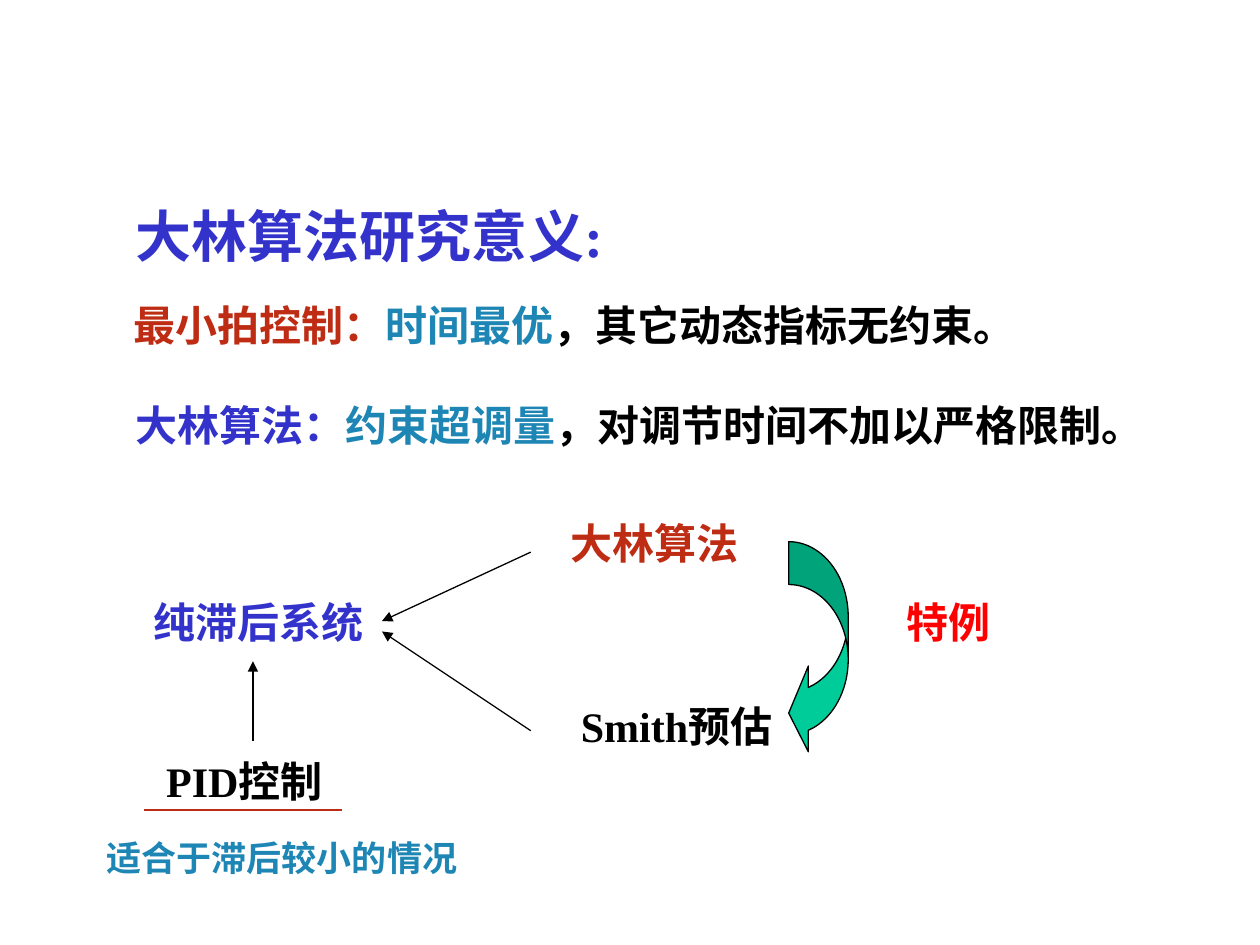
"""Builds the slide on why the Dahlin algorithm is studied."""
from typing import NamedTuple

from lxml.etree import SubElement
from pptx import Presentation
from pptx.dml.color import RGBColor
from pptx.enum.shapes import MSO_CONNECTOR as Link, MSO_SHAPE as Preset
from pptx.enum.text import MSO_AUTO_SIZE as AutoSize
from pptx.oxml.ns import qn
from pptx.util import Cm, Pt

BLUE, RED, TEAL, BLACK = "3333CC", "BE2C14", "1E86B4", "000000"
BRIGHT_RED, GREEN = "FF0000", "00CC99"
FONT_FORMAT = {"name": "Times New Roman", "bold": True}


class Label(NamedTuple):
    left: float
    top: float
    width: float
    height: float
    runs: tuple[tuple[str, str], ...]
    size: int = 24


class Line(NamedTuple):
    start: tuple[float, float]
    end: tuple[float, float]
    colour: str = BLACK
    arrow: bool = True


LABELS = (
    Label(2.49, 3.94, 13.59, 1.63, (("大林算法研究意义:", BLUE),), 32),
    Label(2.44, 5.92, 21.46, 1.27, (
        ("最小拍控制：", RED), ("时间最优", TEAL), ("，其它动态指标无约束。", BLACK))),
    Label(2.49, 7.92, 22.25, 1.27, (
        ("大林算法：", BLUE), ("约束超调量", TEAL), ("，对调节时间不加以严格限制。", BLACK))),
    Label(2.84, 11.91, 8.26, 1.27, (("纯滞后系统", BLUE),)),
    Label(11.25, 10.31, 5.66, 1.27, (("大林算法", RED),)),
    Label(11.46, 14, 7.26, 1.27, (("Smith预估", BLACK),)),
    Label(18.03, 11.91, 5.66, 1.27, (("特例", BRIGHT_RED),)),
    Label(3.1, 15.11, 7.21, 1.27, (("PID控制", BLACK),)),
    Label(1.9, 16.74, 10.8, 1.12, (("适合于滞后较小的情况", TEAL),), 20),
)

LINES = (
    Line((10.7, 11.13), (7.7, 12.52)),
    Line((10.7, 14.73), (7.7, 12.73)),
    Line((5.1, 14.93), (5.1, 13.33)),
    Line((2.9, 16.33), (6.9, 16.33), RED, False),
)


def rgb(colour: str) -> RGBColor:
    return RGBColor.from_string(colour)


def draw_label(shapes, label: Label) -> None:
    box = shapes.add_textbox(*map(Cm, label[:4]))
    frame = box.text_frame
    frame.word_wrap = True
    frame.auto_size = AutoSize.SHAPE_TO_FIT_TEXT
    for words, colour in label.runs:
        run = frame.paragraphs[0].add_run()
        run.text = words
        for name, value in {**FONT_FORMAT, "size": Pt(label.size)}.items():
            setattr(run.font, name, value)
        run.font.color.rgb = rgb(colour)


def draw_line(shapes, line: Line) -> None:
    connector = shapes.add_connector(
        Link.STRAIGHT, *map(Cm, line.start + line.end))
    connector.line.width = Pt(0.75)
    connector.line.color.rgb = rgb(line.colour)
    if line.arrow:
        SubElement(connector.line._get_or_add_ln(), qn("a:tailEnd"), type="triangle")
    SubElement(connector._element.spPr, qn("a:effectLst"))


def draw_special_case_arrow(shapes) -> None:
    arrow = shapes.add_shape(
        Preset.CURVED_LEFT_ARROW, Cm(15.9), Cm(10.92), Cm(1.2), Cm(4.32))
    for index, value in enumerate((0.72, 1.44, 0.33)):
        arrow.adjustments[index] = value
    arrow.shadow.inherit = False
    arrow.fill.solid()
    arrow.fill.fore_color.rgb = rgb(GREEN)
    arrow.line.color.rgb = rgb(BLACK)
    arrow.line.width = Pt(0.75)


def main() -> None:
    deck = Presentation()
    deck.slide_width, deck.slide_height = Cm(25.4), Cm(19.05)
    shapes = deck.slides.add_slide(deck.slide_layouts[6]).shapes
    for label in LABELS:
        draw_label(shapes, label)
    for line in LINES:
        draw_line(shapes, line)
    draw_special_case_arrow(shapes)
    deck.save("out.pptx")


if __name__ == "__main__":
    main()
